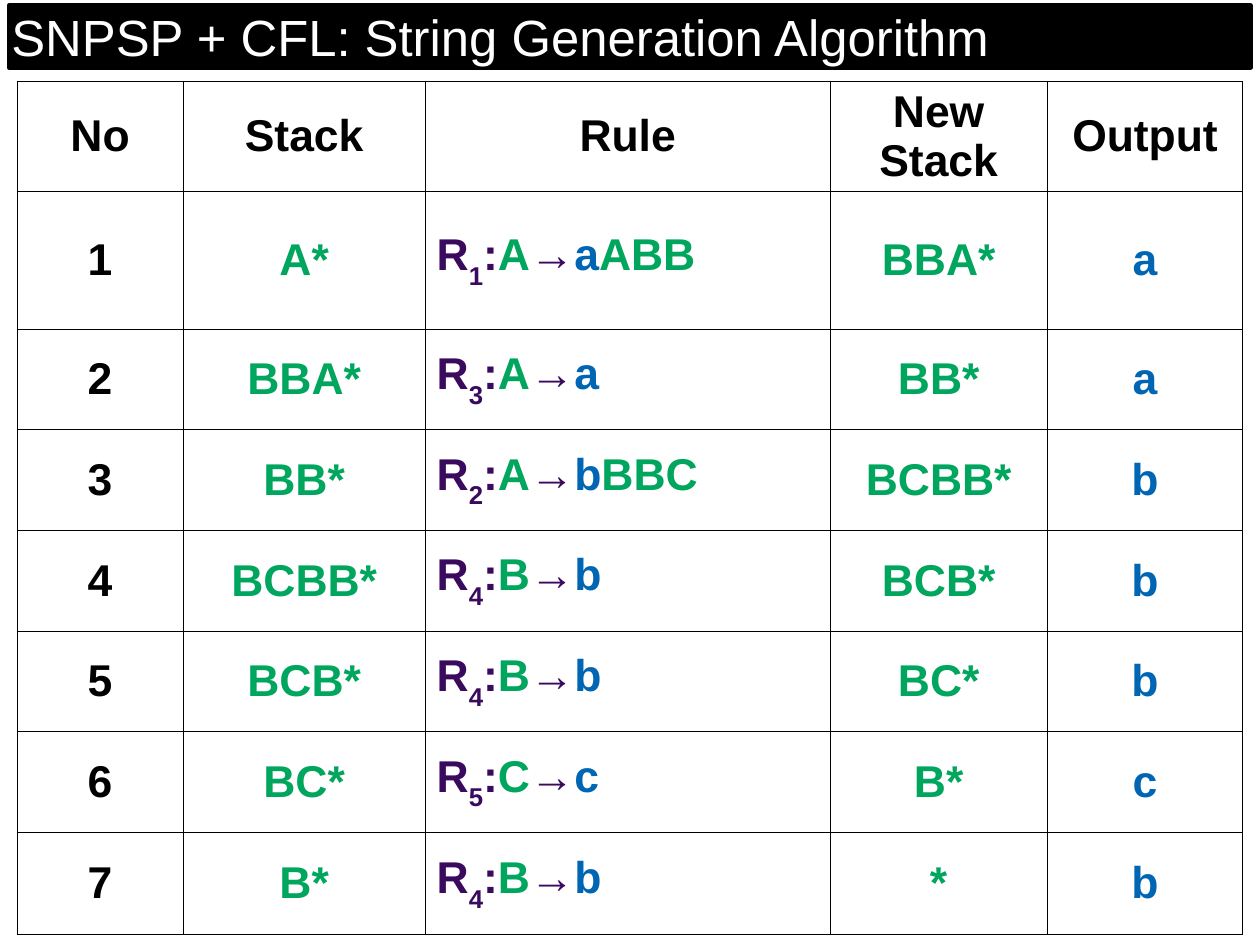
"""Build the slide that traces string generation for SNPSP + CFL."""
from pptx import Presentation
from pptx.dml.color import RGBColor
from pptx.enum.shapes import MSO_SHAPE as Shape
from pptx.enum.text import MSO_ANCHOR as Anchor, PP_ALIGN as Align
from pptx.oxml import parse_xml
from pptx.oxml.ns import nsdecls
from pptx.util import Pt

PX = 9144
BLACK = RGBColor(0x00, 0x00, 0x00)
WHITE = RGBColor(0xFF, 0xFF, 0xFF)
GREEN = RGBColor(0x00, 0xA6, 0x5D)
BLUE = RGBColor(0x00, 0x66, 0xB3)
PURPLE = RGBColor(0x39, 0x0A, 0x5D)

TITLE_FORMAT = {"name": "Arial", "size": Pt(32), "bold": False}
CELL_FORMAT = {"name": "Arial", "size": Pt(28), "bold": True}
TITLE_FRAME = {
    "word_wrap": True,
    "vertical_anchor": Anchor.MIDDLE,
    "margin_left": 2 * PX,
    "margin_right": 2 * PX,
    "margin_top": 2 * PX,
    "margin_bottom": 2 * PX,
}
CELL_FRAME = {
    "vertical_anchor": Anchor.MIDDLE,
    "margin_left": 10 * PX,
    "margin_right": 10 * PX,
    "margin_top": 5 * PX,
    "margin_bottom": 5 * PX,
}

COLUMN_WIDTHS = [145, 212, 354, 190, 171]
ROW_HEIGHTS = [88, 120, 88, 88, 88, 88, 88, 89]
HEADERS = ["No", "Stack", "Rule", "New\nStack", "Output"]
STEPS = [
    ("A*", "1", "A", "a", "ABB", "BBA*"),
    ("BBA*", "3", "A", "a", "", "BB*"),
    ("BB*", "2", "A", "b", "BBC", "BCBB*"),
    ("BCBB*", "4", "B", "b", "", "BCB*"),
    ("BCB*", "4", "B", "b", "", "BC*"),
    ("BC*", "5", "C", "c", "", "B*"),
    ("B*", "4", "B", "b", "", "*"),
]


def set_values(target, values):
    for name, value in values.items():
        setattr(target, name, value)


def add_run(paragraph, text, color, values):
    run = paragraph.add_run()
    run.text = text
    set_values(run.font, values)
    run.font.color.rgb = color
    return run


presentation = Presentation()
presentation.slide_width = 1102 * PX
presentation.slide_height = 827 * PX
slide = presentation.slides.add_slide(presentation.slide_layouts[6])

title = slide.shapes.add_shape(Shape.RECTANGLE, 8 * PX, 5 * PX, 1086 * PX, 54 * PX)
title.shadow.inherit = False
title.fill.solid()
title.fill.fore_color.rgb = BLACK
title.line.color.rgb = BLACK
title.line.width = Pt(3)
set_values(title.text_frame, TITLE_FRAME)
title_paragraph = title.text_frame.paragraphs[0]
title_paragraph.alignment = Align.LEFT
add_run(title_paragraph, "SNPSP + CFL: String Generation Algorithm", WHITE, TITLE_FORMAT)

rows = [[[(header, BLACK)] for header in HEADERS]]
for number, (stack, index, symbol, output, pushed, new_stack) in enumerate(STEPS, 1):
    rule = [("R", PURPLE), (index, PURPLE), (":", PURPLE), (symbol, GREEN),
            ("→", PURPLE), (output, BLUE)]
    if pushed:
        rule.append((pushed, GREEN))
    rows.append([[(str(number), BLACK)], [(stack, GREEN)], rule,
                 [(new_stack, GREEN)], [(output, BLUE)]])

table_frame = slide.shapes.add_table(
    len(rows), len(HEADERS), 15 * PX, 71 * PX, 1073 * PX, 748 * PX)
table = table_frame.table
set_values(table, {"first_row": False, "horz_banding": False})
for column, width in zip(table.columns, COLUMN_WIDTHS):
    column.width = width * PX
for row, height in zip(table.rows, ROW_HEIGHTS):
    row.height = height * PX

for row_index, row in enumerate(rows):
    for column_index, pieces in enumerate(row):
        cell = table.cell(row_index, column_index)
        set_values(cell, CELL_FRAME)
        properties = cell._tc.get_or_add_tcPr()
        for side in "LRTB":
            properties.append(parse_xml(
                f'<a:ln{side} {nsdecls("a")} w="7200"><a:solidFill>'
                f'<a:srgbClr val="{BLACK}"/></a:solidFill></a:ln{side}>'))
        cell.fill.background()
        is_rule = len(pieces) > 1
        paragraph = cell.text_frame.paragraphs[0]
        for piece_index, (text, color) in enumerate(pieces):
            for line_index, line in enumerate(text.split("\n")):
                if line_index:
                    paragraph = cell.text_frame.add_paragraph()
                paragraph.alignment = Align.LEFT if is_rule else Align.CENTER
                run = add_run(paragraph, line, color, CELL_FORMAT)
                if is_rule and piece_index == 1:
                    run._r.get_or_add_rPr().set("baseline", "-33000")

presentation.save("out.pptx")
